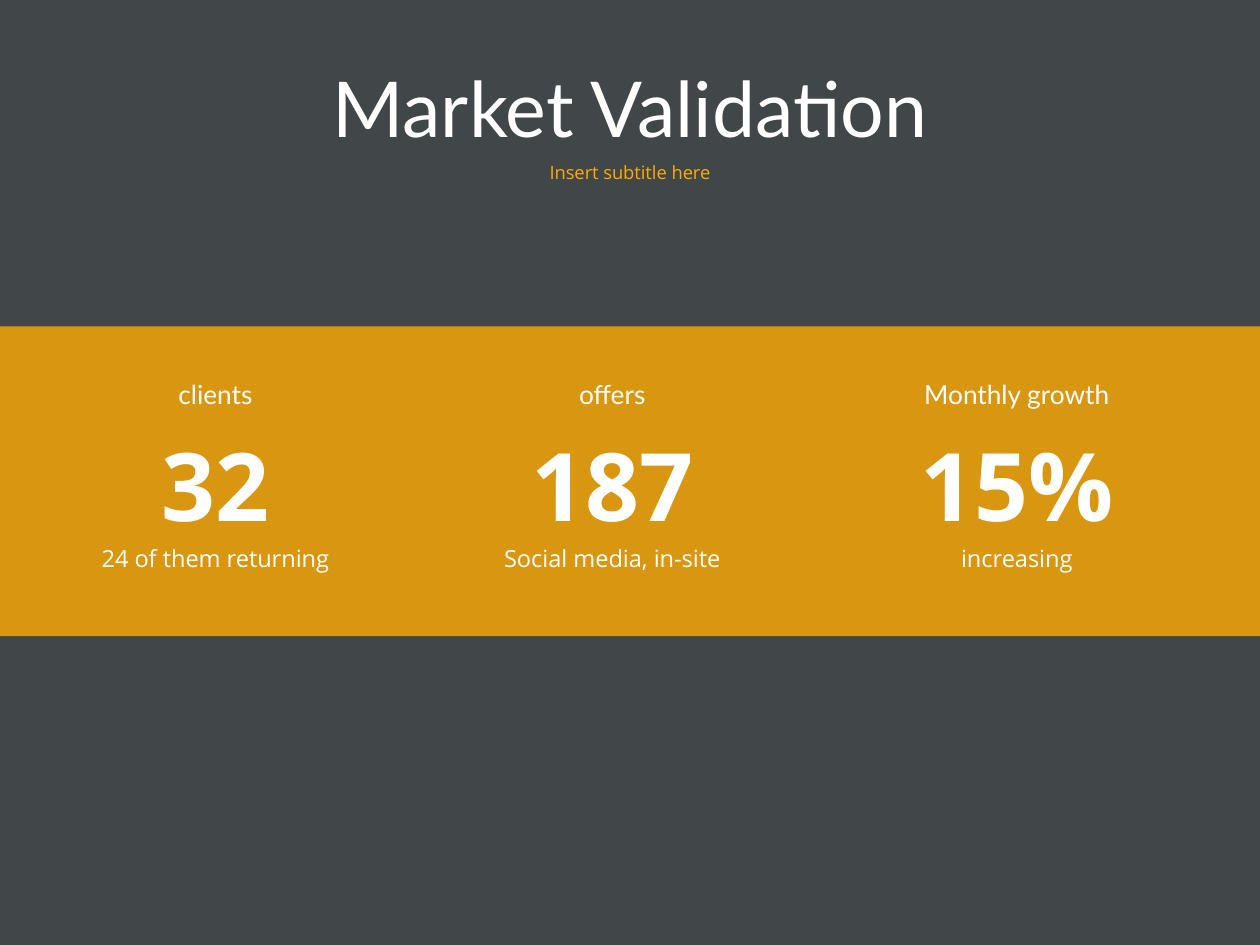
from dataclasses import dataclass

from lxml.etree import SubElement
from pptx import Presentation
from pptx.dml.color import RGBColor
from pptx.enum.shapes import MSO_SHAPE
from pptx.enum.text import MSO_ANCHOR, PP_ALIGN
from pptx.oxml.ns import qn
from pptx.util import Inches, Pt

WIDTH, HEIGHT = 10, 7.5
INSET = 0.04
COLOURS = {"slate": "181E20", "amber": "FFAB03", "white": "FFFFFF"}


@dataclass
class Style:
    font: str
    size: float
    colour: str = "white"
    bold: bool = False
    spacing: float = 1.0
    anchor: MSO_ANCHOR = MSO_ANCHOR.TOP


@dataclass
class Row:
    top: float
    height: float
    style: Style


@dataclass
class Metric:
    centre: float
    label: str
    value: str
    note: str
    label_width: float = 2.5


TITLE = Row(0.4, 0.98, Style("Lato", 44, spacing=0.9, anchor=MSO_ANCHOR.MIDDLE))
SUBTITLE = Row(1.26, 0.4, Style("Open Sans", 10.5, "amber", spacing=0.9))
LABEL = Row(2.94, 0.38, Style("Lato", 15, anchor=MSO_ANCHOR.MIDDLE))
VALUE = Row(2.99, 1.46, Style("Open Sans", 54, bold=True, spacing=1.4))
NOTE = Row(4.19, 0.44, Style("Open Sans", 13.5, spacing=1.4))

HEADING_WIDTH = 8.62
METRIC_WIDTH = 2.2
METRICS = [
    Metric(1.71, "clients", "32", "24 of them returning"),
    Metric(4.86, "offers", "187", "Social media, in-site"),
    Metric(8.07, "Monthly growth", "15%", "increasing", 2.94),
]


def add_band(page, top: float, height: float, colour: str, opacity: int) -> None:
    """Draw a translucent band across the whole slide."""
    band = page.shapes.add_shape(
        MSO_SHAPE.RECTANGLE, 0, Inches(top), Inches(WIDTH), Inches(height)
    )
    band.shadow.inherit = False
    band.line.fill.background()
    band.fill.solid()
    band.fill.fore_color.rgb = RGBColor.from_string(COLOURS[colour])
    tint = band.fill._xPr.find(qn("a:solidFill"))[0]
    SubElement(tint, qn("a:alpha"), val=str(opacity * 1000))


def add_text(page, text: str, centre: float, width: float, row: Row) -> None:
    """Write one centred line around a vertical axis."""
    style = row.style
    box = page.shapes.add_textbox(
        Inches(centre - width / 2), Inches(row.top), Inches(width), Inches(row.height)
    )
    frame = box.text_frame
    frame.word_wrap = True
    frame.vertical_anchor = style.anchor
    for side in ("left", "top", "right", "bottom"):
        setattr(frame, f"margin_{side}", Inches(INSET))
    para = frame.paragraphs[0]
    para.alignment = PP_ALIGN.CENTER
    para.line_spacing = style.spacing
    span = para.add_run()
    span.text = text
    formats = {"name": style.font, "size": Pt(style.size), "bold": style.bold}
    for name, value in formats.items():
        setattr(span.font, name, value)
    span.font.color.rgb = RGBColor.from_string(COLOURS[style.colour])


deck = Presentation()
deck.slide_width, deck.slide_height = Inches(WIDTH), Inches(HEIGHT)
page = deck.slides.add_slide(deck.slide_layouts[6])

# Backdrop and heading
add_band(page, 0, HEIGHT, "slate", 82)
add_text(page, "Market Validation", WIDTH / 2, HEADING_WIDTH, TITLE)
add_text(page, "Insert subtitle here", WIDTH / 2, HEADING_WIDTH, SUBTITLE)

# Metrics band
add_band(page, 2.59, 2.46, "amber", 80)
for metric in METRICS:
    add_text(page, metric.note, metric.centre, METRIC_WIDTH, NOTE)
    add_text(page, metric.label, metric.centre, metric.label_width, LABEL)
    add_text(page, metric.value, metric.centre, METRIC_WIDTH, VALUE)

deck.save("out.pptx")
